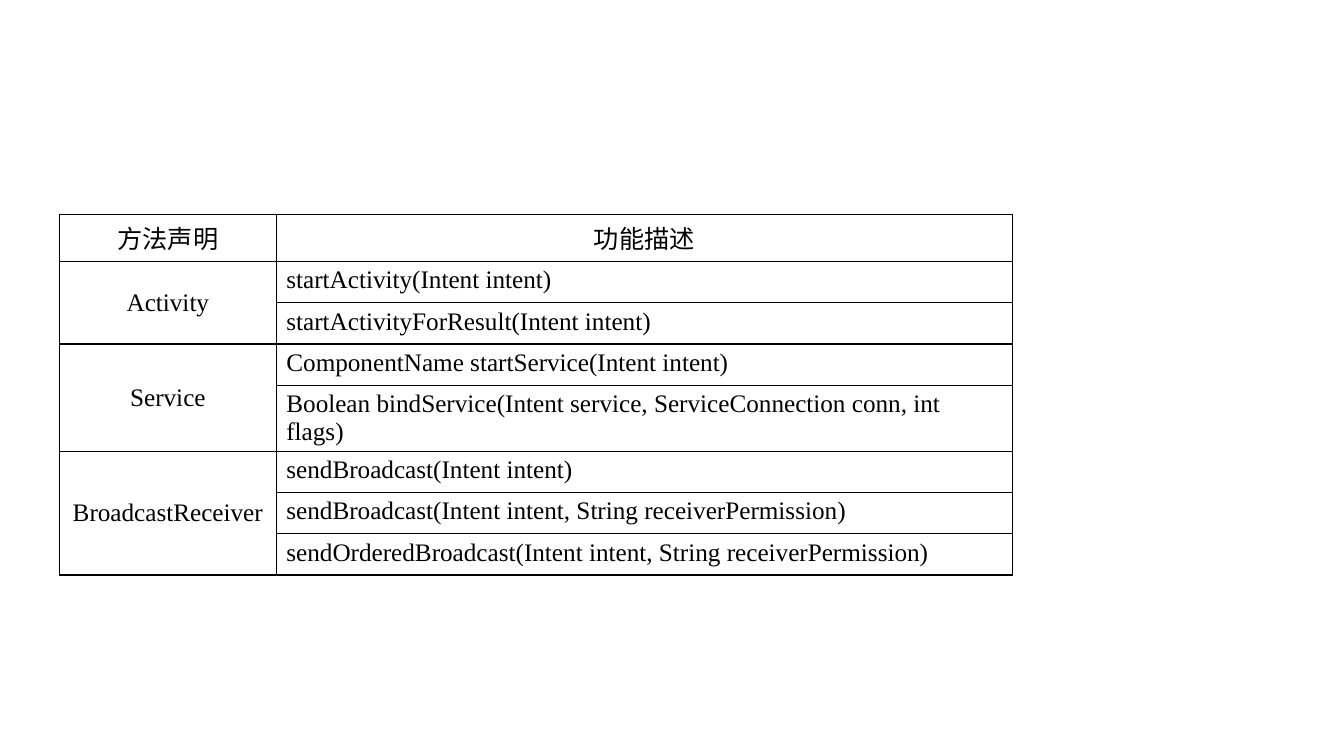
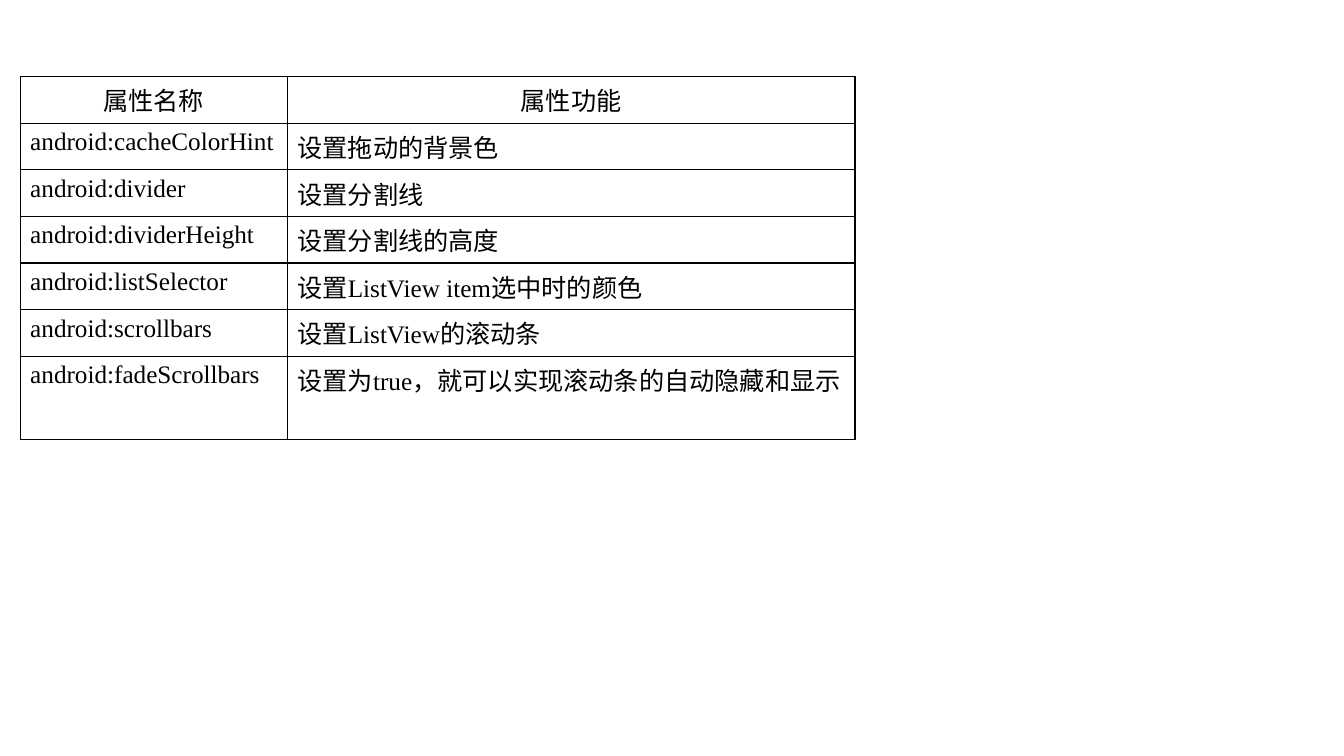
from lxml.etree import SubElement
from pptx import Presentation
from pptx.dml.color import RGBColor
from pptx.enum.text import MSO_VERTICAL_ANCHOR as Anchor, PP_PARAGRAPH_ALIGNMENT as Align
from pptx.oxml.ns import qn
from pptx.util import Inches, Pt

INK = "000000"
PAPER = "FFFFFF"
ROW_HEIGHT = 0.41
FONT_FORMAT = {"name": "Times New Roman", "size": Pt(18), "bold": False}
PLAIN_TABLE = {"first_row": False, "horz_banding": False}

METHOD_HEADER = ("方法声明", "功能描述")
METHOD_GROUPS = {
    "Activity": [
        "startActivity(Intent intent)",
        "startActivityForResult(Intent intent)",
    ],
    "Service": [
        "ComponentName startService(Intent intent)",
        "Boolean bindService(Intent service, ServiceConnection conn, int flags)",
    ],
    "BroadcastReceiver": [
        "sendBroadcast(Intent intent)",
        "sendBroadcast(Intent intent, String receiverPermission)",
        "sendOrderedBroadcast(Intent intent, String receiverPermission)",
    ],
}
ATTRIBUTE_HEADER = ("属性名称", "属性功能")
ATTRIBUTES = [
    ("android:cacheColorHint", "设置拖动的背景色"),
    ("android:divider", "设置分割线"),
    ("android:dividerHeight", "设置分割线的高度"),
    ("android:listSelector", "设置ListView item选中时的颜色"),
    ("android:scrollbars", "设置ListView的滚动条"),
    ("android:fadeScrollbars", "设置为true，就可以实现滚动条的自动隐藏和显示"),
]


def color(value):
    return RGBColor.from_string(value)


def apply_format(target, values):
    for name, value in values.items():
        setattr(target, name, value)


def add_borders(cell):
    properties = cell._tc.get_or_add_tcPr()
    for side in ("lnL", "lnR", "lnT", "lnB"):
        line = SubElement(properties, qn(f"a:{side}"), w=str(Pt(1)))
        fill = SubElement(line, qn("a:solidFill"))
        SubElement(fill, qn("a:srgbClr"), val=INK)


def style_cell(cell):
    add_borders(cell)
    cell.fill.solid()
    cell.fill.fore_color.rgb = color(PAPER)


def write_cell(cell, text, alignment=Align.LEFT):
    paragraph = cell.text_frame.paragraphs[0]
    paragraph.alignment = alignment
    run = paragraph.add_run()
    run.text = text
    apply_format(run.font, FONT_FORMAT)
    run.font.color.rgb = color(INK)


def add_grid(slide, left, top, widths, header, row_count):
    height = ROW_HEIGHT * row_count
    box = (Inches(value) for value in (left, top, sum(widths), height))
    table = slide.shapes.add_table(row_count, len(widths), *box).table
    apply_format(table, PLAIN_TABLE)
    for column, width in zip(table.columns, widths):
        column.width = Inches(width)
    for row in table.rows:
        row.height = Inches(ROW_HEIGHT)
    for cell in table.iter_cells():
        style_cell(cell)
    for index, text in enumerate(header):
        write_cell(table.cell(0, index), text, Align.CENTER)
    return table


def add_method_table(slide, left, top, widths):
    row_count = 1 + sum(len(methods) for methods in METHOD_GROUPS.values())
    table = add_grid(slide, left, top, widths, METHOD_HEADER, row_count)
    first = 1
    for component, methods in METHOD_GROUPS.items():
        group = table.cell(first, 0)
        group.merge(table.cell(first + len(methods) - 1, 0))
        group.vertical_anchor = Anchor.MIDDLE
        write_cell(group, component, Align.CENTER)
        for row, method in enumerate(methods, first):
            write_cell(table.cell(row, 1), method)
        first += len(methods)


def add_attribute_table(slide, left, top, widths):
    table = add_grid(slide, left, top, widths, ATTRIBUTE_HEADER, 1 + len(ATTRIBUTES))
    for row, texts in enumerate(ATTRIBUTES, 1):
        for column, text in enumerate(texts):
            write_cell(table.cell(row, column), text)


def add_blank_slide(presentation):
    return presentation.slides.add_slide(presentation.slide_layouts[6])


def main():
    presentation = Presentation()
    apply_format(presentation, {"slide_width": Inches(13.33), "slide_height": Inches(7.5)})
    add_method_table(add_blank_slide(presentation), 0.59, 2.13, (2.15, 7.3))
    add_attribute_table(add_blank_slide(presentation), 0.2, 0.76, (2.65, 5.63))
    presentation.save("out.pptx")


if __name__ == "__main__":
    main()
